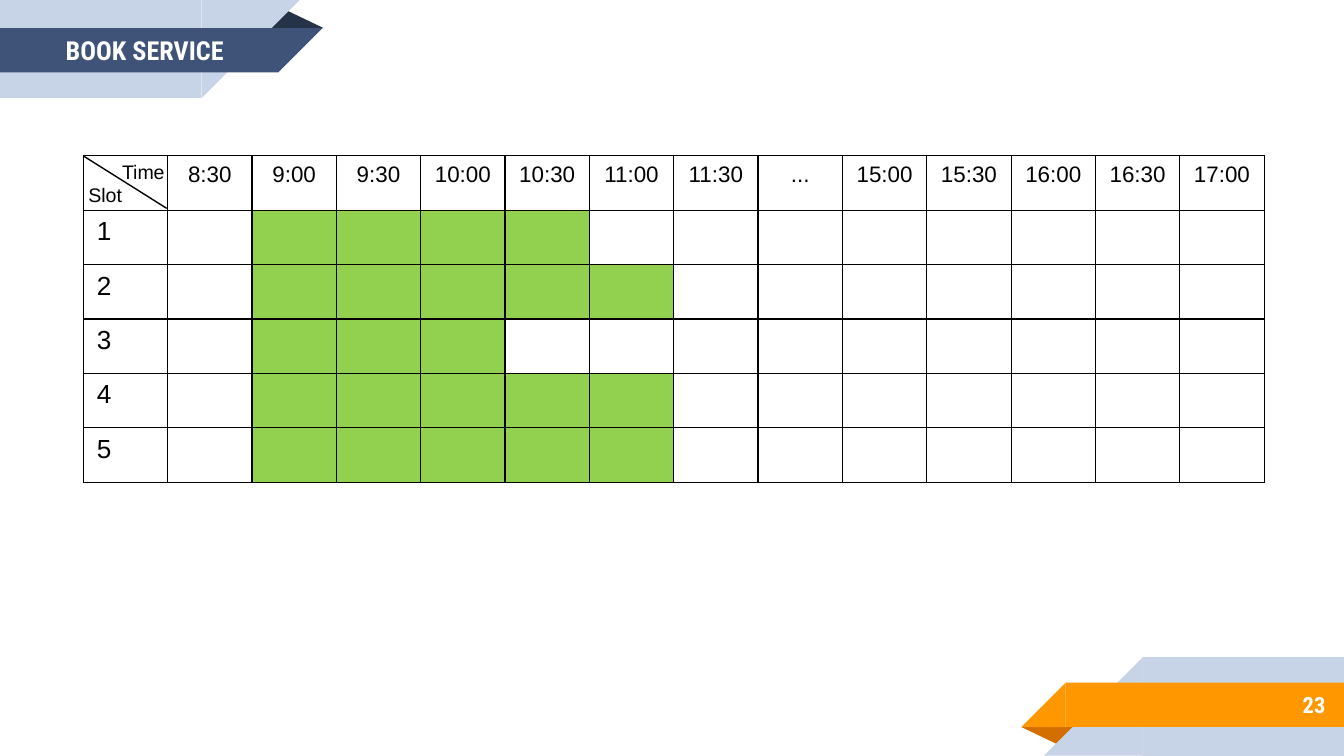
"""Build the "Book service" slide: a grid of booked slots by time of day."""
from lxml.etree import SubElement
from pptx import Presentation
from pptx.dml.color import RGBColor
from pptx.enum.shapes import MSO_CONNECTOR, MSO_SHAPE
from pptx.enum.text import MSO_ANCHOR, PP_ALIGN
from pptx.oxml.ns import qn
from pptx.util import Inches, Pt

BLACK, WHITE, PALE, GREEN = "000000", "FFFFFF", "C7D3E6", "92D050"
TIMES = ["8:30", "9:00", "9:30", "10:00", "10:30", "11:00", "11:30", "...",
         "15:00", "15:30", "16:00", "16:30", "17:00"]
BOOKED = [4, 5, 3, 5, 5]
FIRST_BOOKED = TIMES.index("9:00") + 1


def paint(colour_format, colour):
    colour_format.rgb = RGBColor.from_string(colour)


def write(paragraph, words, font, size, colour, bold=False, align=PP_ALIGN.LEFT):
    paragraph.text = words
    paragraph.alignment = align
    paragraph.font.name = font
    paragraph.font.size = Pt(size)
    paragraph.font.bold = bold
    paint(paragraph.font.color, colour)


deck = Presentation()
deck.slide_width = Inches(10)
deck.slide_height = deck.slide_width * 9 // 16
unit = deck.slide_width // 1000
slide = deck.slides.add_slide(deck.slide_layouts[6])

FOLD, BAND, TIP = MSO_SHAPE.ISOSCELES_TRIANGLE, MSO_SHAPE.RECTANGLE, MSO_SHAPE.RIGHT_TRIANGLE
ribbons = [
    (FOLD, (760, 541, 43, 14), 180, "D26F00"),
    (BAND, (850, 489, 150, 73.5), 0, PALE),
    (TIP, (777, 489, 73, 73.5), 270, PALE),
    (BAND, (793, 508, 207, 33), 0, "FF9800"),
    (TIP, (760, 508, 33, 33), 270, "FF9800"),
    (FOLD, (198, 7, 43, 14), 0, "263248"),
    (BAND, (0, 0, 150, 73), 0, PALE),
    (TIP, (150, 0, 73, 73), 90, PALE),
    (BAND, (0, 21, 207, 33), 0, "3F5378"),
    (TIP, (207, 21, 33, 33), 90, "3F5378"),
]
for kind, box, turn, colour in ribbons:
    piece = slide.shapes.add_shape(kind, *[int(n * unit) for n in box])
    piece.rotation = turn
    piece.shadow.inherit = False
    piece.fill.solid()
    paint(piece.fill.fore_color, colour)
    piece.line.fill.background()
    if kind == FOLD:
        piece.adjustments[0] = 0.32

schedule = slide.shapes.add_table(
    len(BOOKED) + 1, len(TIMES) + 1, *[n * unit for n in (62, 116, 879, 243)]).table
schedule.first_row = schedule.horz_banding = False
for row in range(len(BOOKED) + 1):
    for column in range(len(TIMES) + 1):
        cell = schedule.cell(row, column)
        paragraph = cell.text_frame.paragraphs[0]
        paragraph.font.size = Pt(12)
        if row == 0 and column > 0:
            cell.margin_left = cell.margin_right = 5 * unit
            write(paragraph, TIMES[column - 1], "Arial", 12, BLACK, align=PP_ALIGN.CENTER)
        elif row > 0 and column == 0:
            write(paragraph, str(row), "Arial", 14, BLACK)
        properties = cell._tc.get_or_add_tcPr()
        for side in ("a:lnL", "a:lnR", "a:lnT", "a:lnB"):
            border = SubElement(properties, qn(side), w=str(Pt(0.75)))
            SubElement(SubElement(border, qn("a:solidFill")), qn("a:srgbClr"), val=BLACK)
        if row > 0 and 0 <= column - FIRST_BOOKED < BOOKED[row - 1]:
            cell.fill.solid()
            paint(cell.fill.fore_color, GREEN)
        else:
            cell.fill.background()

diagonal = slide.shapes.add_connector(
    MSO_CONNECTOR.STRAIGHT, *[n * unit for n in (124, 155, 62, 116)])
diagonal.line.width = Pt(0.75)
paint(diagonal.line.color, BLACK)
SubElement(diagonal._element.spPr, qn("a:effectLst"))

HEADING, LABEL = "Roboto Condensed", "Arial"
captions = [
    ("23", (833, 507, 163, 35), HEADING, 12, WHITE, PP_ALIGN.RIGHT),
    ("BOOK SERVICE", (39, -5, 199, 84), HEADING, 14, WHITE, PP_ALIGN.LEFT),
    ("Slot", (56, 131, 58, 28), LABEL, 10.5, BLACK, PP_ALIGN.LEFT),
    ("Time", (81, 114, 58, 28), LABEL, 10.5, BLACK, PP_ALIGN.LEFT),
]
for words, box, font, size, colour, align in captions:
    frame = slide.shapes.add_textbox(*[n * unit for n in box]).text_frame
    frame.word_wrap = True
    if font == HEADING:
        frame.vertical_anchor = MSO_ANCHOR.MIDDLE
        frame.margin_top = frame.margin_bottom = 10 * unit
    write(frame.paragraphs[0], words, font, size, colour, font == HEADING, align)

deck.save("out.pptx")
